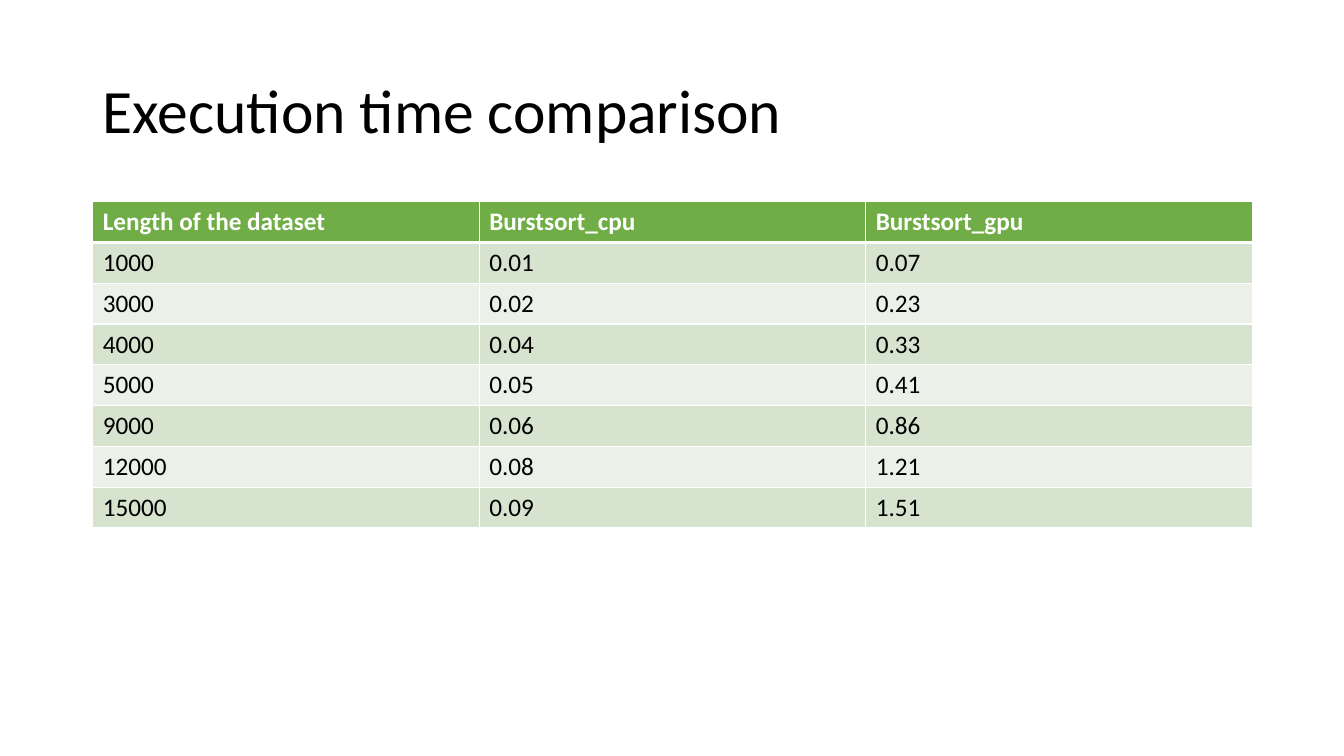
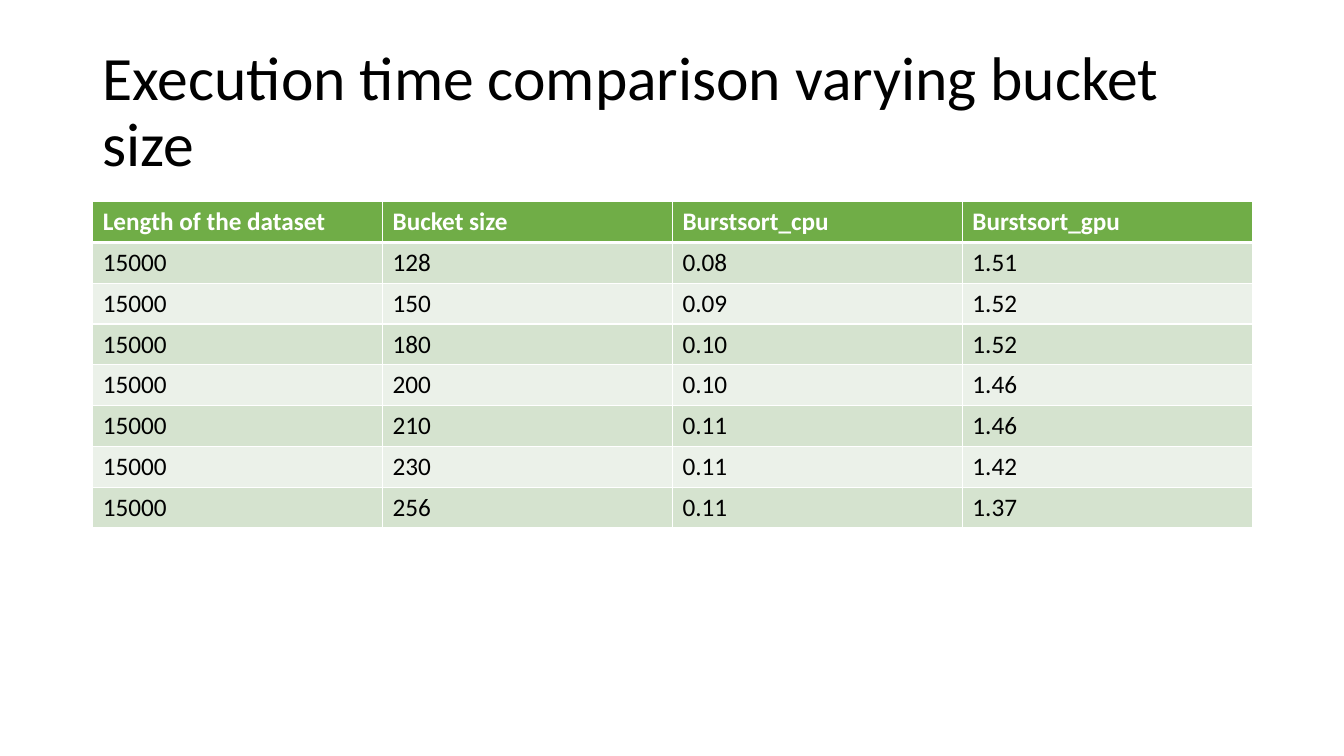
"""Build two slides that compare Burstsort execution times in tables."""

from dataclasses import dataclass

from lxml import etree
from pptx import Presentation
from pptx.dml.color import RGBColor
from pptx.enum.text import MSO_ANCHOR
from pptx.oxml.ns import qn
from pptx.presentation import Presentation as PresentationType
from pptx.slide import Slide
from pptx.table import _Cell
from pptx.text.text import TextFrame
from pptx.util import Inches, Pt

MIDDLE = MSO_ANCHOR.MIDDLE
TOP = MSO_ANCHOR.TOP
BLANK_LAYOUT = 6


@dataclass(frozen=True)
class Theme:
    """Hold the colours, font, type sizes and line widths."""

    font: str = "Calibri"
    title_size: int = 44
    table_size: int = 18
    background: str = "FFFFFF"
    text: str = "000000"
    header_fill: str = "70AD47"
    header_text: str = "FFFFFF"
    bands: tuple[str, str] = ("D5E3CF", "EBF1E9")
    border: str = "FFFFFF"
    border_width: int = 1
    header_rule: int = 3


@dataclass(frozen=True)
class Grid:
    """Hold the slide size and the shared content column, in inches."""

    width: float = 13.33
    height: float = 7.5
    left: float = 0.92
    content_width: float = 11.5
    title_top: float = 0.4
    title_height: float = 1.45
    table_top: float = 2
    row_height: float = 0.405


@dataclass(frozen=True)
class Comparison:
    """Describe one slide: its title, column headings and data rows."""

    title: str
    headings: tuple[str, ...]
    rows: list[tuple[str, ...]]


THEME = Theme()
GRID = Grid()

COMPARISONS = (
    Comparison(
        "Execution time comparison",
        ("Length of the dataset", "Burstsort_cpu", "Burstsort_gpu"),
        [
            ("1000 ", "0.01", "0.07"),
            ("3000 ", "0.02", "0.23"),
            ("4000 ", "0.04", "0.33"),
            ("5000 ", "0.05", "0.41"),
            ("9000 ", "0.06", "0.86"),
            ("12000 ", "0.08", "1.21"),
            ("15000 ", "0.09", "1.51"),
        ],
    ),
    Comparison(
        "Execution time comparison varying bucket size",
        ("Length of the dataset", "Bucket size", "Burstsort_cpu", "Burstsort_gpu"),
        [
            ("15000", "128", "0.08", "1.51"),
            ("15000", "150", "0.09", "1.52"),
            ("15000", "180", "0.10", "1.52"),
            ("15000", "200", "0.10", "1.46"),
            ("15000", "210", "0.11", "1.46"),
            ("15000", "230", "0.11", "1.42"),
            ("15000", "256", "0.11", "1.37"),
        ],
    ),
)


def write_text(
    frame: TextFrame,
    text: str,
    *,
    size: int,
    color: str = THEME.text,
    bold: bool = False,
    line_spacing: float = 1.0,
    anchor: MSO_ANCHOR = TOP,
) -> None:
    """Write one formatted paragraph into a text frame."""
    frame.word_wrap = True
    frame.vertical_anchor = anchor
    paragraph = frame.paragraphs[0]
    paragraph.line_spacing = line_spacing
    run = paragraph.add_run()
    run.text = text
    run.font.name = THEME.font
    run.font.size = Pt(size)
    run.font.bold = bold
    run.font.color.rgb = RGBColor.from_string(color)


def set_borders(cell: _Cell, top: int, bottom: int) -> None:
    """Draw the four cell borders, with widths in points."""
    properties = cell._tc.get_or_add_tcPr()
    side = THEME.border_width
    widths = {"a:lnL": side, "a:lnR": side, "a:lnT": top, "a:lnB": bottom}
    for position, (tag, width) in enumerate(widths.items()):
        line = etree.Element(qn(tag), w=str(Pt(width)))
        fill = etree.SubElement(line, qn("a:solidFill"))
        etree.SubElement(fill, qn("a:srgbClr"), val=THEME.border)
        properties.insert(position, line)


def add_title(slide: Slide, title: str) -> None:
    """Add the slide title."""
    box = slide.shapes.add_textbox(
        Inches(GRID.left),
        Inches(GRID.title_top),
        Inches(GRID.content_width),
        Inches(GRID.title_height),
    )
    write_text(
        box.text_frame, title, size=THEME.title_size, line_spacing=0.9, anchor=MIDDLE
    )


def format_cell(cell: _Cell, text: str, row: int) -> None:
    """Fill, border and label a cell according to its row."""
    header = row == 0
    fill = THEME.header_fill if header else THEME.bands[(row - 1) % 2]
    cell.fill.solid()
    cell.fill.fore_color.rgb = RGBColor.from_string(fill)
    set_borders(
        cell,
        top=THEME.header_rule if row == 1 else THEME.border_width,
        bottom=THEME.header_rule if header else THEME.border_width,
    )
    write_text(
        cell.text_frame,
        text,
        size=THEME.table_size,
        color=THEME.header_text if header else THEME.text,
        bold=header,
    )


def add_comparison_table(slide: Slide, comparison: Comparison) -> None:
    """Add a table with equal columns and banded rows."""
    rows = [comparison.headings, *comparison.rows]
    table = slide.shapes.add_table(
        len(rows),
        len(comparison.headings),
        Inches(GRID.left),
        Inches(GRID.table_top),
        Inches(GRID.content_width),
        Inches(GRID.row_height * len(rows)),
    ).table
    for row, values in enumerate(rows):
        for column, value in enumerate(values):
            format_cell(table.cell(row, column), value, row)


def add_comparison_slide(
    presentation: PresentationType, comparison: Comparison
) -> None:
    """Add one slide with a title and a table."""
    slide = presentation.slides.add_slide(presentation.slide_layouts[BLANK_LAYOUT])
    background = slide.background.fill
    background.solid()
    background.fore_color.rgb = RGBColor.from_string(THEME.background)
    add_title(slide, comparison.title)
    add_comparison_table(slide, comparison)


def main() -> None:
    """Build and save the presentation."""
    presentation = Presentation()
    presentation.slide_width = Inches(GRID.width)
    presentation.slide_height = Inches(GRID.height)
    for comparison in COMPARISONS:
        add_comparison_slide(presentation, comparison)
    presentation.save("out.pptx")


main()
